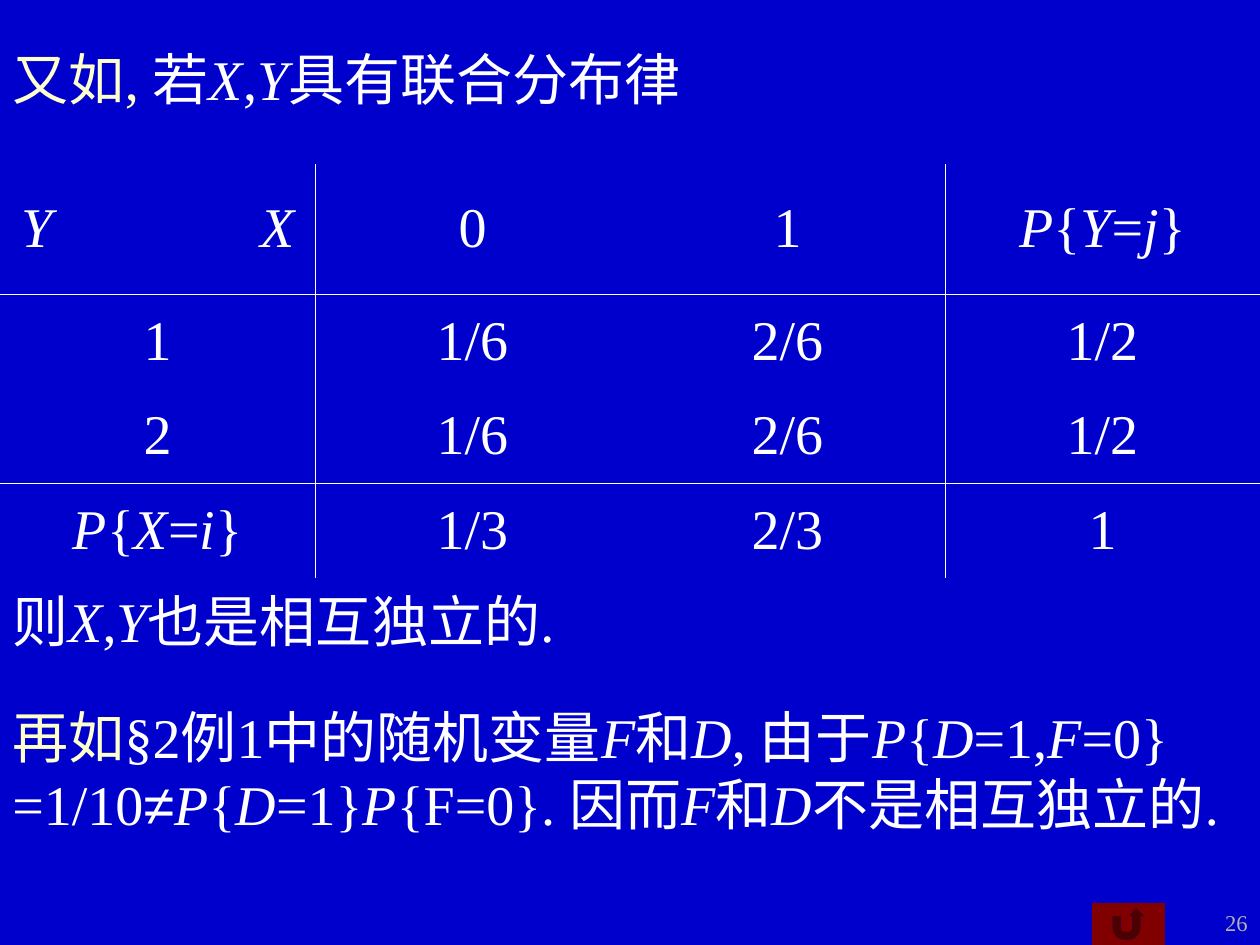
from dataclasses import dataclass

from lxml import etree
from pptx import Presentation
from pptx.dml.color import RGBColor
from pptx.enum.shapes import MSO_SHAPE
from pptx.enum.text import MSO_ANCHOR, MSO_AUTO_SIZE, PP_ALIGN
from pptx.oxml.ns import qn
from pptx.util import Emu, Pt

LEFT, CENTER, RIGHT = PP_ALIGN.LEFT, PP_ALIGN.CENTER, PP_ALIGN.RIGHT
TOP, MIDDLE = MSO_ANCHOR.TOP, MSO_ANCHOR.MIDDLE
NO_FIT = MSO_AUTO_SIZE.NONE
RETURN_BUTTON = MSO_SHAPE.ACTION_BUTTON_RETURN
PX = 914400 / 126


@dataclass(frozen=True)
class Theme:
    back: str = "0000CC"
    text: str = "FFFFFF"
    accent: str = "FFFFCC"
    muted: str = "B2B2B2"
    button: str = "800000"
    font: str = "Times New Roman"
    symbol_font: str = "Arial"
    body: float = 32
    small: float = 12.9
    rule: float = 0.45


THEME = Theme()


@dataclass(frozen=True)
class Run:
    text: str
    italic: bool = False
    color: str = THEME.text
    font: str = THEME.font
    size: float = THEME.body


@dataclass(frozen=True)
class Box:
    x: int
    y: int
    w: int
    h: int

    def emu(self) -> tuple[Emu, ...]:
        return tuple(px(v) for v in (self.x, self.y, self.w, self.h))


def px(n: int) -> Emu:
    return Emu(round(n * PX))


def var(name: str) -> Run:
    return Run(name, italic=True)


def prob(name: str, value: str) -> list[Run]:
    return [var("P"), Run("{"), var(name), Run("="), var(value), Run("}")]


def write(tf, runs: list[Run], align=LEFT) -> None:
    p = tf.paragraphs[0]
    p.alignment = align
    for run in runs:
        r = p.add_run()
        r.text = run.text
        r.font.name, r.font.size = run.font, Pt(run.size)
        r.font.italic, r.font.bold = run.italic, False
        r.font.color.rgb = RGBColor.from_string(run.color)


def set_frame(tf) -> None:
    tf.word_wrap = True
    tf.auto_size = NO_FIT
    tf.vertical_anchor = TOP


def add_text(slide, box: Box, runs: list[Run], align=LEFT) -> None:
    tf = slide.shapes.add_textbox(*box.emu()).text_frame
    set_frame(tf)
    write(tf, runs, align)


def set_borders(cell, sides: set[str]) -> None:
    tc_pr = cell._tc.get_or_add_tcPr()
    for side in "LRTB":
        ln = etree.SubElement(tc_pr, qn(f"a:ln{side}"), w=str(Pt(THEME.rule)))
        if side in sides:
            fill = etree.SubElement(ln, qn("a:solidFill"))
            etree.SubElement(fill, qn("a:srgbClr"), val=THEME.text)
        else:
            etree.SubElement(ln, qn("a:noFill"))


def add_tab(p, pos: int) -> None:
    tabs = etree.SubElement(p._p.get_or_add_pPr(), qn("a:tabLst"))
    etree.SubElement(tabs, qn("a:tab"), pos=str(px(pos)), algn="l")


def add_distribution(slide, box: Box, heights: list[int], rows: list[list[list[Run]]]) -> None:
    n_cols = len(rows[0])
    table = slide.shapes.add_table(len(rows), n_cols, *box.emu()).table
    table.first_row = table.horz_banding = False
    for col in table.columns:
        col.width = px(box.w // n_cols)
    for row, height in zip(table.rows, heights):
        row.height = px(height)
    # Rules follow the header and precede the marginal row and column
    ruled = {0, 2}
    for i, row in enumerate(rows):
        for j, runs in enumerate(row):
            cell = table.cell(i, j)
            marks = {"R": j in ruled, "L": j - 1 in ruled, "B": i in ruled, "T": i - 1 in ruled}
            set_borders(cell, {side for side, on in marks.items() if on})
            cell.fill.background()
            cell.vertical_anchor = MIDDLE
            write(cell.text_frame, runs, CENTER)
    # Corner cell: Y at the left, X at a tab stop
    corner = table.cell(0, 0)
    corner.margin_left = px(22)
    p = corner.text_frame.paragraphs[0]
    p.alignment = LEFT
    add_tab(p, 239)


def main() -> None:
    prs = Presentation()
    prs.slide_width, prs.slide_height = px(1260), px(945)
    slide = prs.slides.add_slide(prs.slide_layouts[5])
    slide.background.fill.solid()
    slide.background.fill.fore_color.rgb = RGBColor.from_string(THEME.back)

    # Return button and page number
    sp = slide.shapes.add_shape(RETURN_BUTTON, *Box(1092, 903, 73, 42).emu())
    sp.shadow.inherit = False
    sp.fill.solid()
    sp.fill.fore_color.rgb = RGBColor.from_string(THEME.button)
    sp.line.fill.background()
    add_text(slide, Box(1176, 903, 84, 42),
             [Run("26", color=THEME.muted, size=THEME.small)], RIGHT)

    # Title
    title = slide.shapes.title
    title.left, title.top, title.width, title.height = Box(0, 38, 1260, 94).emu()
    set_frame(title.text_frame)
    write(title.text_frame, [Run("又如, ", color=THEME.accent), Run("若"), var("X"), Run(","),
                             var("Y"), Run("具有联合分布律")])

    # Joint distribution
    values = [["1", "1/6", "2/6", "1/2"], ["2", "1/6", "2/6", "1/2"]]
    rows = [
        [[var("Y\tX")], [Run("0")], [Run("1")], prob("Y", "j")],
        *[[[Run(v)] for v in line] for line in values],
        [prob("X", "i"), [Run("1/3")], [Run("2/3")], [Run("1")]],
    ]
    add_distribution(slide, Box(0, 164, 1260, 414), [130, 95, 94, 95], rows)

    # Conclusions
    add_text(slide, Box(0, 580, 1239, 122),
             [Run("则"), var("X"), Run(","), var("Y"), Run("也是相互独立的.")])
    add_text(slide, Box(0, 696, 1260, 214), [
        Run("再如", color=THEME.accent), Run("§2例1中的随机变量"), var("F"), Run("和"), var("D"),
        Run(", 由于"), var("P"), Run("{"), var("D"), Run("=1,"), var("F"), Run("=0}=1/10"),
        Run("≠", font=THEME.symbol_font), *prob("D", "1")[:3], Run("=1}"), var("P"),
        Run("{F=0}. 因而"), var("F"), Run("和"), var("D"), Run("不是相互独立的."),
    ])

    prs.save("out.pptx")


if __name__ == "__main__":
    main()
